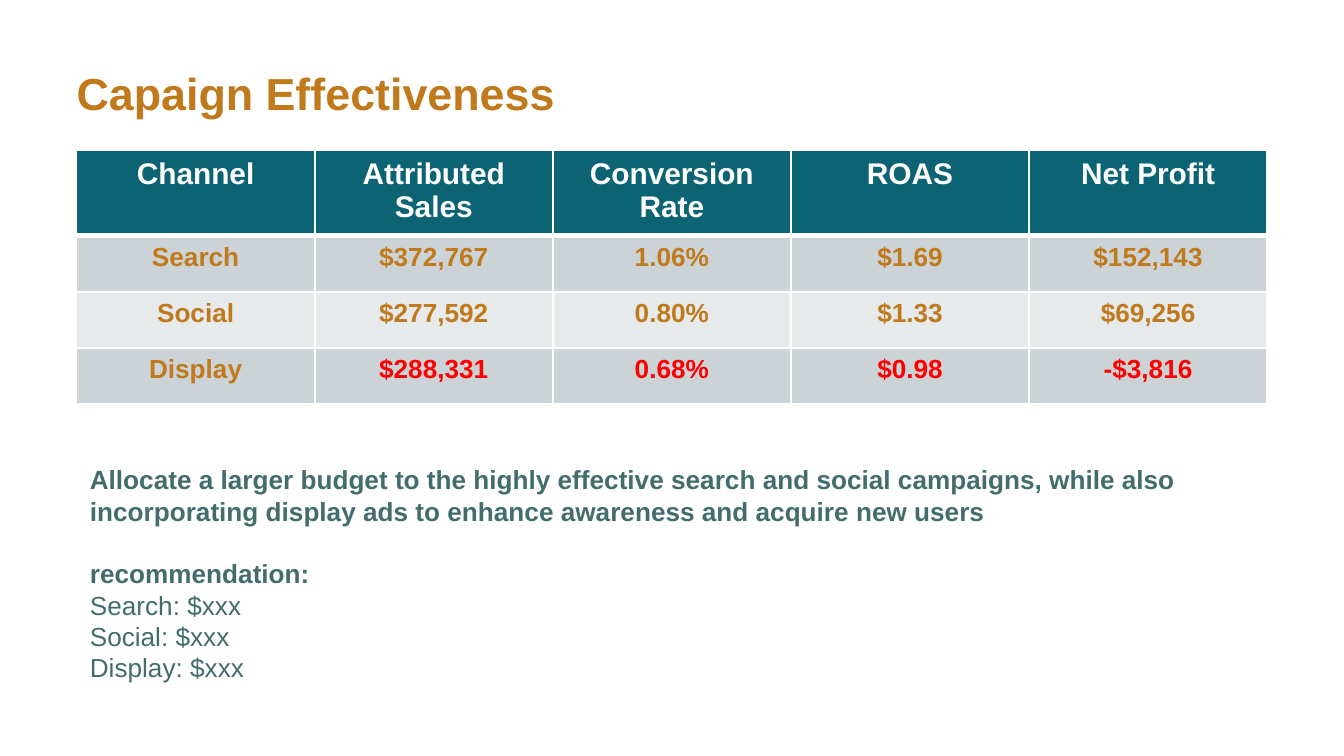
"""Build the campaign effectiveness slide."""
import lxml.etree
import pptx
import pptx.dml.color
import pptx.enum.text
import pptx.oxml.ns
import pptx.util

Inches, Pt = pptx.util.Inches, pptx.util.Pt
ALIGN = pptx.enum.text.PP_ALIGN
ANCHOR = pptx.enum.text.MSO_ANCHOR
qn = pptx.oxml.ns.qn

COLORS = {"gold": "C0791B", "teal": "0B6374", "white": "FFFFFF", "red": "FF0000",
          "band_dark": "CCD3D6", "band_light": "E7EAEB", "body": "436D6D"}
TITLE = "Capaign Effectiveness"
ROWS = [
    ("Channel", "Attributed Sales", "Conversion Rate", "ROAS", "Net Profit"),
    ("Search", "$372,767", "1.06%", "$1.69", "$152,143"),
    ("Social", "$277,592", "0.80%", "$1.33", "$69,256"),
    ("Display", "$288,331", "0.68%", "$0.98", "-$3,816"),
]
NOTES = [
    ("Allocate a larger budget to the highly effective search and social campaigns, "
     "while also incorporating display ads to enhance awareness and acquire new users",
     True, 0),
    ("recommendation:", True, 16.8),
    ("Search: $xxx", False, 0),
    ("Social: $xxx", False, 0),
    ("Display: $xxx", False, 0),
]
LEFT, WIDTH = 0.57, 8.86
TABLE_TOP, TABLE_HEIGHT = 1.12, 1.67
SLIDE_WIDTH = 10
SLIDE_HEIGHT = SLIDE_WIDTH * 9 / 16


def rgb(name):
    return pptx.dml.color.RGBColor.from_string(COLORS[name])


def apply(obj, formats):
    for name, value in formats.items():
        setattr(obj, name, value)


def write(p, text, size, color, bold=True, **formats):
    r = p.add_run()
    r.text = text
    apply(r.font, {"name": "Arial", "size": Pt(size), "bold": bold})
    r.font.color.rgb = rgb(color)
    apply(p, formats)


def add_text(slide, box, **formats):
    tf = slide.shapes.add_textbox(*map(Inches, box)).text_frame
    apply(tf, {"word_wrap": True, **formats})
    return tf


def add_borders(cell, widths):
    tcPr = cell._tc.get_or_add_tcPr()
    for i, (side, width) in enumerate(widths.items()):
        line = lxml.etree.Element(qn(f"a:ln{side}"), w=str(Pt(width)))
        fill = lxml.etree.SubElement(line, qn("a:solidFill"))
        lxml.etree.SubElement(fill, qn("a:srgbClr"), val=COLORS["white"])
        tcPr.insert(i, line)


def add_results(slide):
    table = slide.shapes.add_table(
        len(ROWS), len(ROWS[0]), Inches(LEFT), Inches(TABLE_TOP),
        Inches(WIDTH), Inches(TABLE_HEIGHT)).table
    for i, row in enumerate(ROWS):
        header, loss = i == 0, row[-1].startswith("-")
        band = "teal" if header else "band_dark" if i % 2 else "band_light"
        for j, text in enumerate(row):
            cell = table.cell(i, j)
            cell.fill.solid()
            cell.fill.fore_color.rgb = rgb(band)
            if header:
                add_borders(cell, {"L": 1, "R": 1, "T": 1, "B": 3})
            color = "white" if header else "red" if loss and j else "gold"
            write(cell.text_frame.paragraphs[0], text, 16 if header else 14, color,
                  alignment=ALIGN.CENTER)


def main():
    prs = pptx.Presentation()
    apply(prs, {"slide_width": Inches(SLIDE_WIDTH), "slide_height": Inches(SLIDE_HEIGHT)})
    slide = prs.slides.add_slide(prs.slide_layouts[6])

    tf = add_text(slide, (LEFT, 0.3, WIDTH, 0.59), vertical_anchor=ANCHOR.BOTTOM,
                  margin_left=0, margin_top=0, margin_right=0, margin_bottom=0)
    write(tf.paragraphs[0], TITLE, 24, "gold")

    add_results(slide)

    tf = add_text(slide, (LEFT, 3.4, 8.75, 1.75))
    for i, (text, bold, gap) in enumerate(NOTES):
        p = tf.add_paragraph() if i else tf.paragraphs[0]
        write(p, text, 14, "body", bold, space_before=Pt(gap))

    prs.save("out.pptx")


if __name__ == "__main__":
    main()
